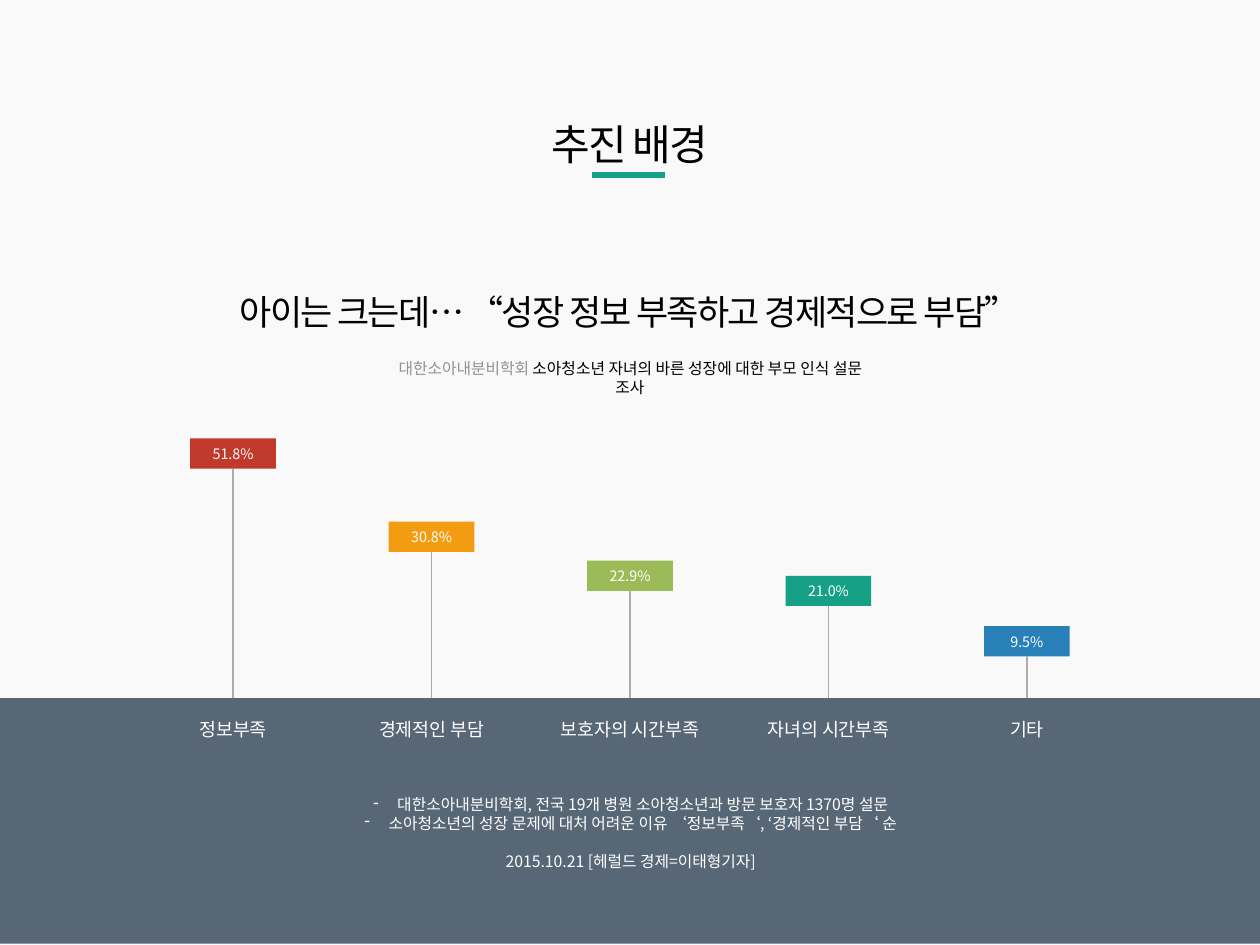
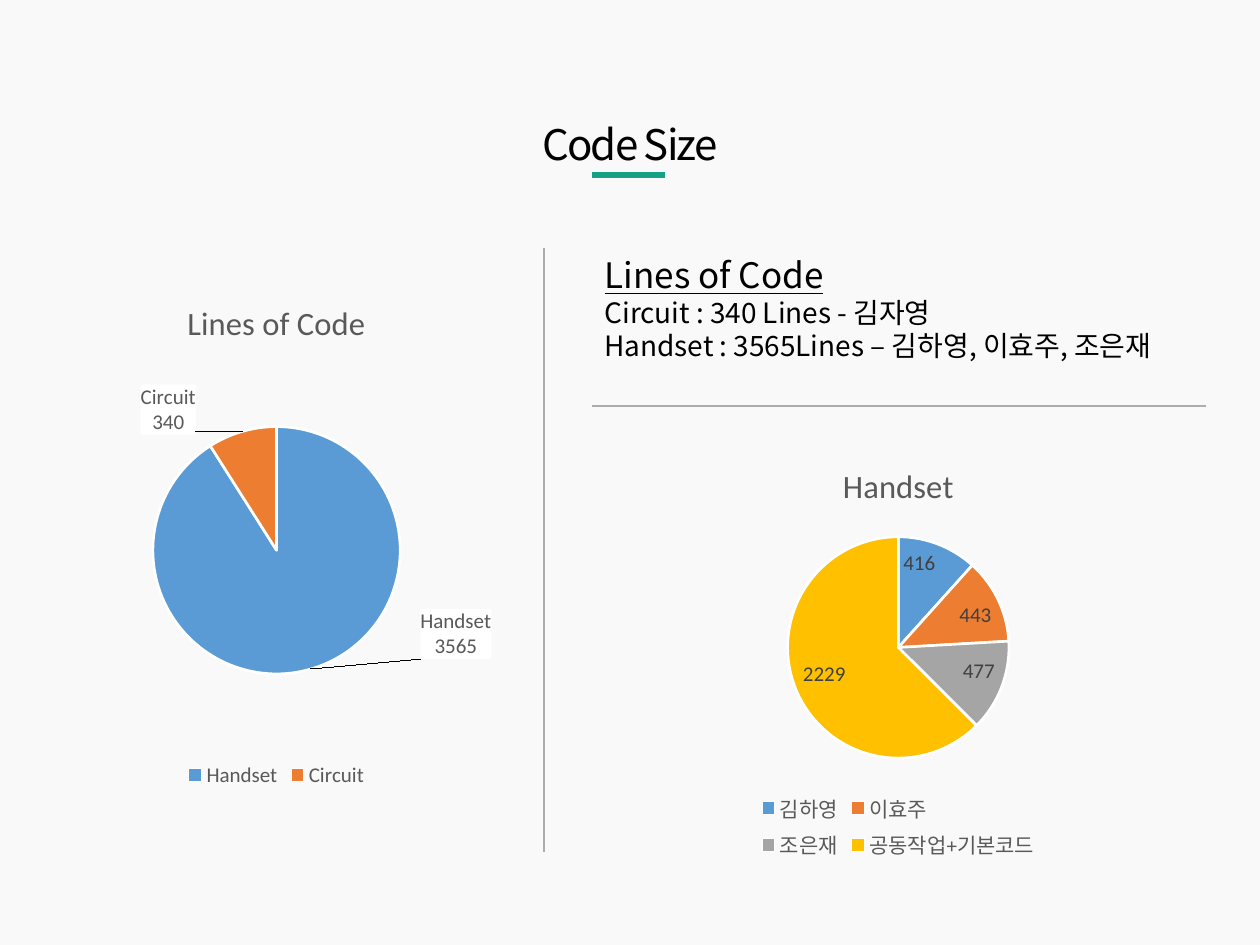
from dataclasses import dataclass

from lxml import etree
from pptx import Presentation
from pptx.chart.data import CategoryChartData
from pptx.dml.color import RGBColor
from pptx.enum.chart import XL_CHART_TYPE, XL_LABEL_POSITION, XL_LEGEND_POSITION
from pptx.enum.shapes import MSO_CONNECTOR, MSO_SHAPE
from pptx.enum.text import MSO_ANCHOR, PP_ALIGN
from pptx.oxml.ns import qn
from pptx.util import Inches, Pt

LEFT, CENTER = PP_ALIGN.LEFT, PP_ALIGN.CENTER
TOP, MIDDLE = MSO_ANCHOR.TOP, MSO_ANCHOR.MIDDLE
RECTANGLE = MSO_SHAPE.RECTANGLE
STRAIGHT = MSO_CONNECTOR.STRAIGHT
PIE = XL_CHART_TYPE.PIE
OUTSIDE_END, INSIDE_END = XL_LABEL_POSITION.OUTSIDE_END, XL_LABEL_POSITION.INSIDE_END
LEGEND_BOTTOM = XL_LEGEND_POSITION.BOTTOM
TOP_SIDE, BOTTOM_SIDE = 0, 2
COLUMNS, ROWS = 100, 75


@dataclass(frozen=True)
class Theme:
    text_font: str = "Noto Sans CJK KR"
    chart_font: str = "Calibri"
    background: str = "F9F9F9"
    ink: str = "000000"
    white: str = "FFFFFF"
    muted: str = "929292"
    rule: str = "AFABAB"
    accent: str = "16A085"
    band: str = "445566"
    chart_ink: str = "595959"
    value_ink: str = "404040"
    slices: tuple = ("5B9BD5", "ED7D31", "A5A5A5", "FFC000")
    title_size: float = 24
    headline_size: float = 20
    body_size: float = 16
    label_size: float = 10.5
    note_size: float = 9
    badge_size: float = 8.2
    chart_title_size: float = 18.6
    chart_size: float = 12
    line_height: float = 1.2


def color(value):
    return RGBColor.from_string(value)


def write(frame, text, theme, *, size, ink, align=CENTER, tracking=0, underline=False,
          before=0, bullet=None, new=True):
    para = frame.add_paragraph() if new and frame.text else frame.paragraphs[-1]
    para.alignment = align
    para.line_spacing = Pt(size * theme.line_height)
    if before:
        para.space_before = Pt(before)
    if bullet:
        settings = para._p.get_or_add_pPr()
        settings.set("marL", str(Inches(0.19)))
        settings.set("indent", str(-Inches(0.19)))
        etree.SubElement(settings, qn("a:buChar")).set("char", bullet)
    span = para.add_run()
    span.text = text
    span.font.size = Pt(size)
    span.font.name = theme.text_font
    span.font.color.rgb = color(ink)
    span.font.underline = underline
    run_settings = span._r.get_or_add_rPr()
    etree.SubElement(run_settings, qn("a:ea")).set("typeface", theme.text_font)
    if tracking:
        run_settings.set("spc", str(round(tracking * 100)))


def manual_layout(left, top, width=None, height=None):
    layout = etree.Element(qn("c:layout"))
    manual = etree.SubElement(layout, qn("c:manualLayout"))
    fields = [("x", left), ("y", top)]
    if width:
        fields = [("layoutTarget", "inner"), ("xMode", "edge"), ("yMode", "edge"),
                  *fields, ("w", width), ("h", height)]
    for name, value in fields:
        etree.SubElement(manual, qn(f"c:{name}")).set("val", str(value))
    return layout


class SlideWriter:
    def __init__(self, deck, theme):
        self.deck, self.theme, self.page = deck, theme, None

    def x(self, columns):
        return round(self.deck.slide_width * columns / COLUMNS)

    def y(self, rows):
        return round(self.deck.slide_height * rows / ROWS)

    def area(self, left, top, width, height):
        return self.x(left), self.y(top), self.x(width), self.y(height)

    def start(self, title):
        self.page = self.deck.slides.add_slide(self.deck.slide_layouts[6])
        fill = self.page.background.fill
        fill.solid()
        fill.fore_color.rgb = color(self.theme.background)
        self.line((47, 13.9), (52.8, 13.9), ink=self.theme.accent, weight=3)
        self.text((10.6, 8.9, 78.8, 5), title, size=self.theme.title_size,
                  ink=self.theme.ink, tracking=-1.1)

    def text_box(self, area, anchor=MIDDLE):
        frame = self.page.shapes.add_textbox(*self.area(*area)).text_frame
        frame.word_wrap = True
        frame.vertical_anchor = anchor
        return frame

    def text(self, area, text, **style):
        write(self.text_box(area), text, self.theme, **style)

    def rectangle(self, area, fill, opacity=None):
        box = self.page.shapes.add_shape(RECTANGLE, *self.area(*area))
        box.shadow.inherit = False
        box.fill.solid()
        box.fill.fore_color.rgb = color(fill)
        box.line.fill.background()
        if opacity:
            tint = box._element.spPr.find(qn("a:solidFill"))[0]
            etree.SubElement(tint, qn("a:alpha")).set("val", str(opacity * 1000))
        return box

    def badge(self, area, text, fill):
        box = self.rectangle(area, fill)
        frame = box.text_frame
        frame.vertical_anchor = MIDDLE
        frame.margin_top = frame.margin_bottom = 0
        write(frame, text, self.theme, size=self.theme.badge_size, ink=self.theme.white)
        return box

    def line(self, start, end, ink=None, weight=1):
        connector = self.page.shapes.add_connector(
            STRAIGHT, self.x(start[0]), self.y(start[1]), self.x(end[0]), self.y(end[1]))
        connector.line.color.rgb = color(ink or self.theme.rule)
        connector.line.width = Pt(weight)
        etree.SubElement(connector._element.spPr, qn("a:effectLst"))
        return connector

    def chart_style(self, font, size, ink):
        font.name, font.size, font.bold = self.theme.chart_font, Pt(size), False
        font.color.rgb = color(ink)

    def pie(self, area, title, values, plot_area, position, label_ink, percent=False):
        theme = self.theme
        data = CategoryChartData()
        data.categories = list(values)
        data.add_series(title, list(values.values()))
        chart = self.page.shapes.add_chart(PIE, *self.area(*area), data).chart
        self.chart_style(chart.font, 10, theme.ink)
        chart.has_title = True
        chart.chart_title.text_frame.text = title
        heading = chart.chart_title.text_frame.paragraphs[0].runs[0]
        self.chart_style(heading.font, theme.chart_title_size, theme.chart_ink)
        chart.has_legend = True
        chart.legend.position = LEGEND_BOTTOM
        chart.legend.include_in_layout = False
        self.chart_style(chart.legend.font, theme.chart_size, theme.chart_ink)
        plot = chart.plots[0]
        plot.vary_by_categories = True
        series = plot.series[0]
        for index, fill in zip(range(len(values)), theme.slices):
            look = series.points[index].format
            look.fill.solid()
            look.fill.fore_color.rgb = color(fill)
            look.line.color.rgb = color(theme.white)
            look.line.width = Pt(1.5)
        labels = series.data_labels
        labels.show_value = not percent
        labels.show_percentage = labels.show_category_name = percent
        labels.position = position
        self.chart_style(labels.font, theme.chart_size, label_ink)
        plot_element = chart._chartSpace.xpath("c:chart/c:plotArea")[0]
        for old_layout in plot_element.findall(qn("c:layout")):
            plot_element.remove(old_layout)
        plot_element.insert(0, manual_layout(*plot_area))
        return series

    def callout(self, series, index, text, shift):
        label = series.points[index].data_label
        label.text_frame.text = text
        for para in label.text_frame.paragraphs:
            for span in para.runs:
                self.chart_style(span.font, self.theme.chart_size, self.theme.chart_ink)
        label.position = OUTSIDE_END
        element = series._element.xpath(f"c:dLbls/c:dLbl[c:idx/@val='{index}']")[0]
        element.find(qn("c:idx")).addnext(manual_layout(*shift))
        look = etree.Element(qn("c:spPr"))
        fill = etree.SubElement(look, qn("a:solidFill"))
        etree.SubElement(fill, qn("a:srgbClr")).set("val", self.theme.white)
        element.find(qn("c:tx")).addnext(look)


def background_slide(writer):
    theme = writer.theme
    writer.start("추진 배경")
    writer.text((14, 22.5, 71.9, 4.4), "아이는 크는데… “성장 정보 부족하고 경제적으로 부담”",
                size=theme.headline_size, ink=theme.ink, tracking=-1)
    survey = writer.text_box((29.5, 28, 41, 2.5), TOP)
    write(survey, "대한소아내분비학회 ", theme, size=theme.note_size, ink=theme.muted)
    write(survey, "소아청소년 자녀의 바른 성장에 대한 부모 인식 설문 조사", theme,
          size=theme.note_size, ink=theme.ink, new=False)

    band_top = 55.4
    band = writer.rectangle((0, band_top, COLUMNS, 19.5), theme.band, opacity=89)
    reasons = [
        ("정보부족", "51.8%", 34.8, "C0392B"),
        ("경제적인 부담", "30.8%", 41.4, "F39C12"),
        ("보호자의 시간부족", "22.9%", 44.5, "9BBB59"),
        ("자녀의 시간부족", "21.0%", 45.7, theme.accent),
        ("기타", "9.5%", 49.7, "2980B9"),
    ]
    first_center, step, badge_width, badge_height = 18.5, 15.75, 6.8, 2.4
    for index, (reason, share, top, fill) in enumerate(reasons):
        center = first_center + step * index
        badge = writer.badge((center - badge_width / 2, top, badge_width, badge_height),
                             share, fill)
        stem = writer.line((center, top + badge_height), (center, band_top))
        stem.begin_connect(badge, BOTTOM_SIDE)
        if center == COLUMNS / 2:
            stem.end_connect(band, TOP_SIDE)
        writer.text((center - step / 2, 56.5, step, 2.8), reason,
                    size=theme.label_size, ink=theme.white)

    notes = writer.text_box((8.7, 62.6, 82.7, 7.1), TOP)
    for note in ("대한소아내분비학회, 전국 19개 병원 소아청소년과 방문 보호자 1370명 설문",
                 "소아청소년의 성장 문제에 대처 어려운 이유 ‘정보부족‘, ‘경제적인 부담‘ 순"):
        write(notes, note, theme, size=theme.note_size, ink=theme.white, bullet="-")
    write(notes, "2015.10.21 [헤럴드 경제=이태형기자]", theme, size=theme.note_size,
          ink=theme.white, before=theme.note_size * theme.line_height)


def code_size_slide(writer):
    theme = writer.theme
    writer.start("Code Size")
    languages = writer.pie((-3.1, 22, 50.1, 40.9), "Lines of Code",
                           {"Handset": 91, "Circuit": 9}, (0.3, 0.29, 0.4, 0.48),
                           OUTSIDE_END, theme.chart_ink, percent=True)
    writer.callout(languages, 0, "Handset\n3565", (0.17, -0.13))
    writer.callout(languages, 1, "Circuit\n340", (-0.07, 0.02))

    summary = writer.text_box((47, 19.6, 46.3, 9.8), TOP)
    write(summary, "Lines of Code", theme, size=theme.headline_size, ink=theme.ink,
          align=LEFT, underline=True)
    for entry in ("Circuit : 340 Lines - 김자영",
                  "Handset : 3565Lines – 김하영, 이효주, 조은재"):
        write(summary, entry, theme, size=theme.body_size, ink=theme.ink, align=LEFT)

    writer.pie((46.9, 35.1, 48.8, 33.6), "Handset",
               {"김하영": 416, "이효주": 443, "조은재": 477, "공동작업+기본코드": 2229},
               (0.32, 0.22, 0.36, 0.53), INSIDE_END, theme.value_ink)
    writer.line((43.2, 19.7), (43.2, 67.6))
    writer.line((47, 32.2), (95.7, 32.2))


def main():
    deck = Presentation()
    deck.slide_width, deck.slide_height = Inches(10), Inches(7.5)
    writer = SlideWriter(deck, Theme())
    background_slide(writer)
    code_size_slide(writer)
    deck.save("out.pptx")


if __name__ == "__main__":
    main()
